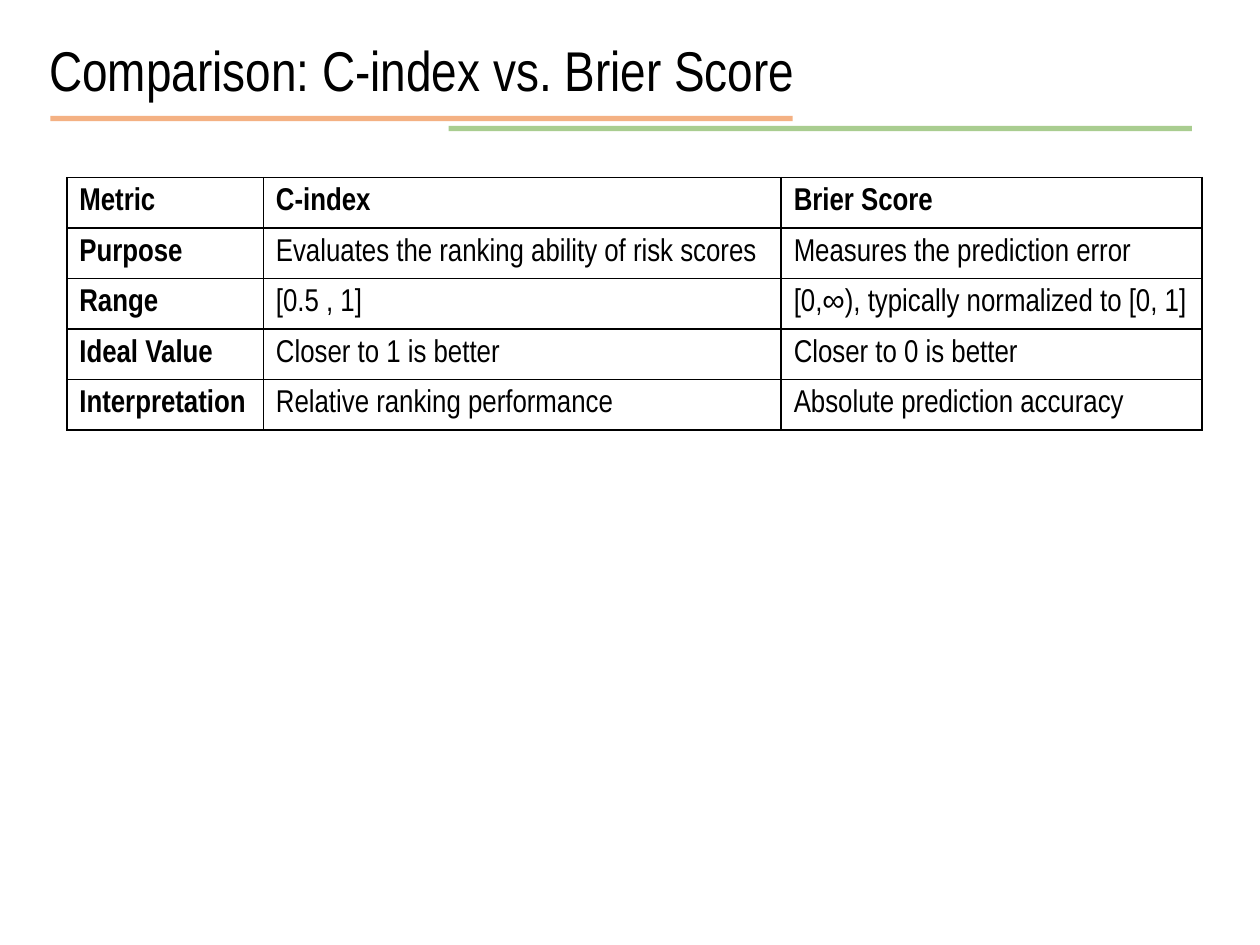
from lxml.etree import SubElement
from pptx import Presentation
from pptx.dml.color import RGBColor
from pptx.enum.shapes import MSO_CONNECTOR
from pptx.enum.text import MSO_ANCHOR, MSO_AUTO_SIZE, PP_ALIGN
from pptx.oxml import parse_xml
from pptx.oxml.ns import nsdecls, qn
from pptx.util import Inches, Pt

FONT = "Arial Narrow"
BLACK = "000000"
TITLE = "Comparison: C-index vs. Brier Score"
RULES = [
    (0.4, 6.29, 0.94, "ED7D31"),
    (3.56, 9.46, 1.02, "70AD47"),
]
COMPARISON = [
    ("Metric", "C-index", "Brier Score"),
    ("Purpose", "Evaluates the ranking ability of risk scores", "Measures the prediction error"),
    ("Range", "[0.5 , 1]", "[0,∞), typically normalized to [0, 1]"),
    ("Ideal Value", "Closer to 1 is better", "Closer to 0 is better"),
    ("Interpretation", "Relative ranking performance", "Absolute prediction accuracy"),
]
COLUMN_WIDTHS = (1.56, 4.11, 3.34)
ROW_HEIGHT = 0.4


def paint(color_format, value):
    color_format.rgb = RGBColor.from_string(value)


def write(frame, text, size=18, bold=False, color=BLACK):
    paragraph = frame.paragraphs[0]
    paragraph.alignment = PP_ALIGN.LEFT
    run = paragraph.add_run()
    run.text = text
    run.font.name, run.font.size, run.font.bold = FONT, Pt(size), bold
    paint(run.font.color, color)


def add_title(slide):
    title = slide.shapes.title
    title.left, title.top = Inches(0.29), Inches(0.23)
    title.width, title.height = Inches(6.18), Inches(0.64)
    frame = title.text_frame
    frame.word_wrap = False
    frame.auto_size = MSO_AUTO_SIZE.SHAPE_TO_FIT_TEXT
    frame.vertical_anchor = MSO_ANCHOR.TOP
    write(frame, TITLE, size=32)
    frame.paragraphs[0].line_spacing = 1.0


def add_rule(slide, start, end, y, color, opacity=60):
    rule = slide.shapes.add_connector(
        MSO_CONNECTOR.STRAIGHT, Inches(start), Inches(y), Inches(end), Inches(y))
    rule.line.width = Pt(3)
    paint(rule.line.color, color)
    properties = rule._element.spPr
    tone = next(properties.iter(qn("a:srgbClr")))
    SubElement(tone, qn("a:alpha")).set("val", str(opacity * 1000))
    SubElement(properties, qn("a:effectLst"))


def add_borders(cell, color=BLACK, width=1):
    for position, side in enumerate(("lnL", "lnR", "lnT", "lnB")):
        border = parse_xml(
            f'<a:{side} {nsdecls("a")} w="{Pt(width)}"><a:solidFill>'
            f'<a:srgbClr val="{color}"/></a:solidFill></a:{side}>')
        cell._tc.get_or_add_tcPr().insert(position, border)


def add_comparison(slide):
    table = slide.shapes.add_table(
        len(COMPARISON), len(COLUMN_WIDTHS), Inches(0.53), Inches(1.41),
        Inches(sum(COLUMN_WIDTHS)), Inches(ROW_HEIGHT * len(COMPARISON))).table
    table.first_row = table.horz_banding = False
    for column, width in zip(table.columns, COLUMN_WIDTHS):
        column.width = Inches(width)
    for r, texts in enumerate(COMPARISON):
        table.rows[r].height = Inches(ROW_HEIGHT)
        for c, text in enumerate(texts):
            cell = table.cell(r, c)
            cell.fill.background()
            cell.vertical_anchor = MSO_ANCHOR.MIDDLE
            write(cell.text_frame, text, bold=r == 0 or c == 0)
            add_borders(cell)


def main():
    """Build the slide comparing the C-index with the Brier score."""
    deck = Presentation()
    deck.slide_width, deck.slide_height = Inches(10), Inches(7.5)
    slide = deck.slides.add_slide(deck.slide_layouts[5])
    add_title(slide)
    for rule in RULES:
        add_rule(slide, *rule)
    add_comparison(slide)
    deck.save("out.pptx")


if __name__ == "__main__":
    main()
